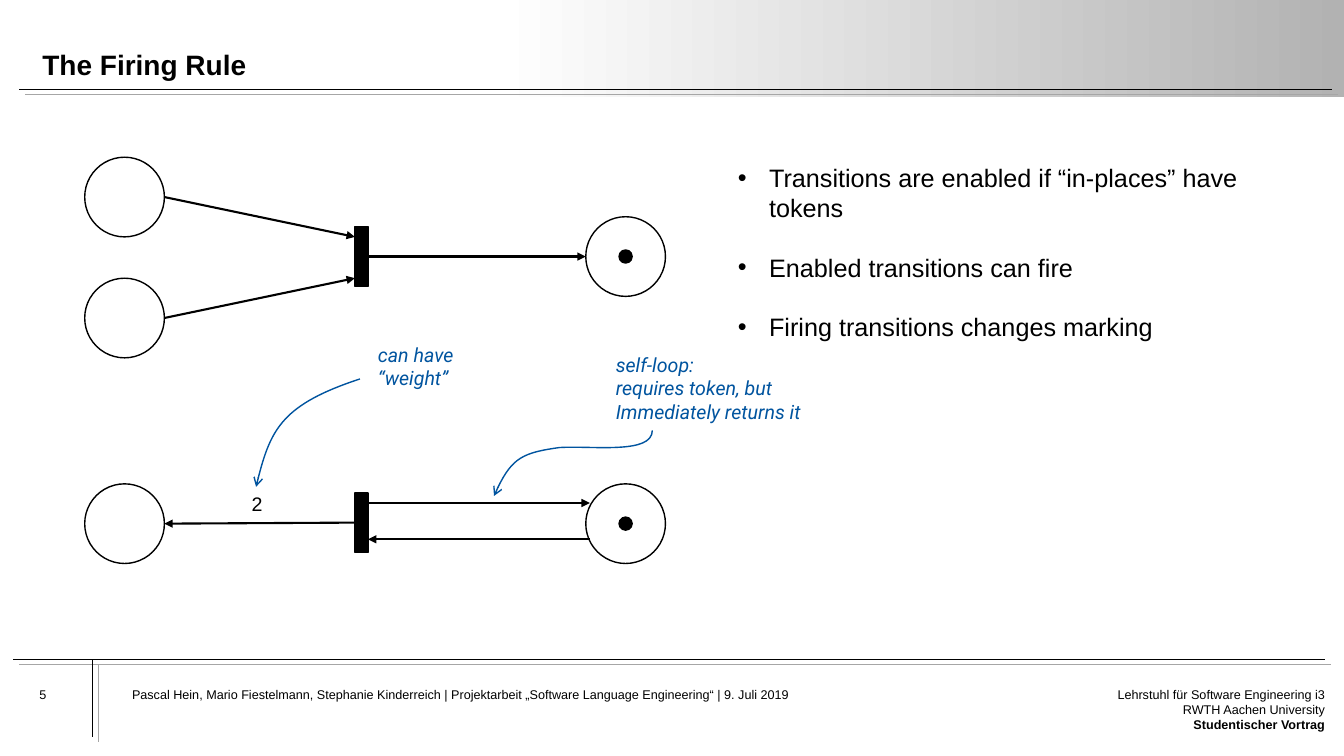
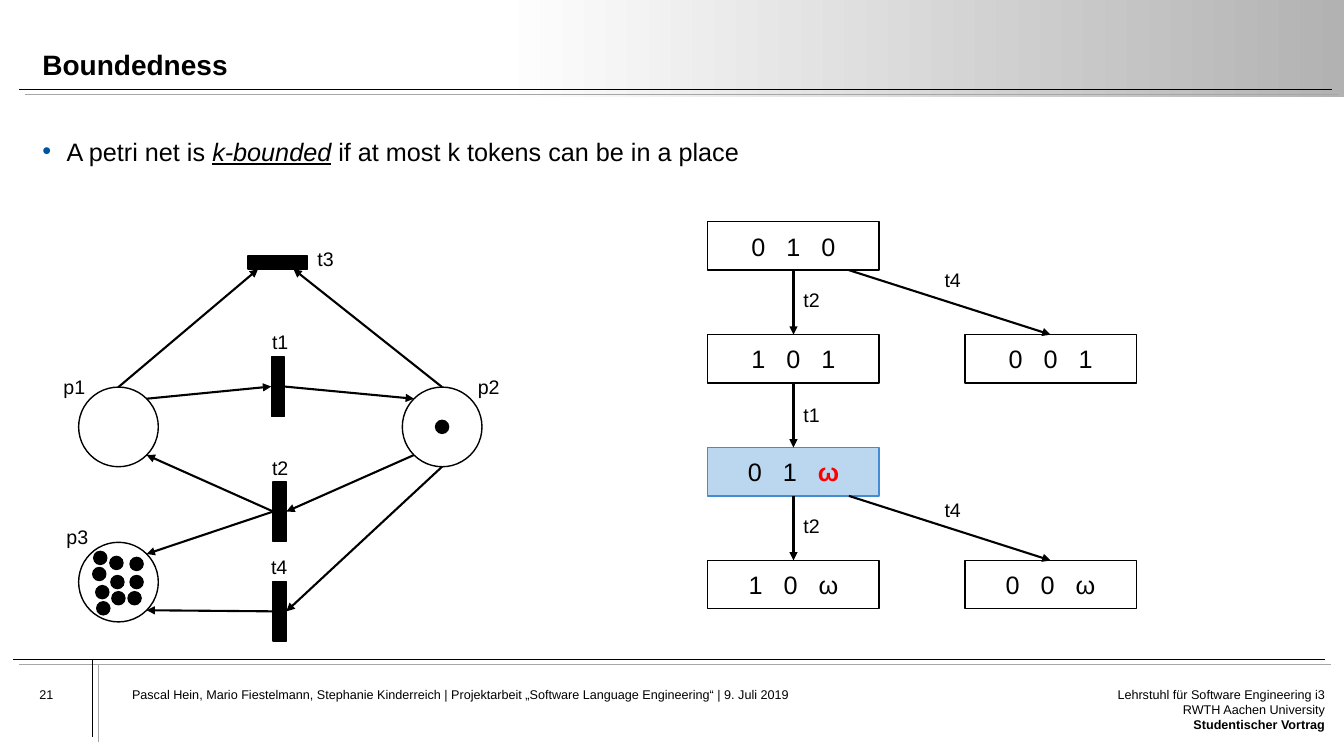
import math
import pptx
import pptx.util
import pptx.dml.color
import pptx.enum.shapes
import pptx.enum.text
import pptx.oxml.ns
from lxml import etree

Inches = pptx.util.Inches
Pt = pptx.util.Pt
qn = pptx.oxml.ns.qn
SHAPE = pptx.enum.shapes.MSO_SHAPE
ALIGN = pptx.enum.text.PP_ALIGN
ANCHOR = pptx.enum.text.MSO_ANCHOR

COLORS = {"black": "000000", "grey": "A6A6A6", "white": "FFFFFF", "band": "B2B2B2",
          "blue": "00549F", "red": "FF0000", "pale": "BBD6EF", "edge": "438CD4"}

AUTHORS = ("Pascal Hein, Mario Fiestelmann, Stephanie Kinderreich | "
           "Projektarbeit „Software Language Engineering“ | 9. Juli 2019")
CHAIR = [["Lehrstuhl für Software Engineering i3"], ["RWTH Aachen University"],
         [("Studentischer Vortrag", {"bold": True})]]
RULES = [(0.19, 0.89, 13.21, 0.89), (0.13, 6.54, 13.14, 6.54), (0.92, 6.54, 0.92, 7.31)]
RULE_SHIFT = (0.06, 0.05)

PLACE = 0.79
TOKEN = 0.13
BAR = (0.13, 0.59)
TOP, LEFT, BOTTOM, RIGHT = range(4)

FIRING = {
    "places": {"in1": (0.84, 1.56), "in2": (0.84, 2.76), "out": (5.81, 2.15),
               "weighted": (0.84, 4.8), "loop": (5.81, 4.8)},
    "bars": {"join": (3.52, 2.25, *BAR), "split": (3.52, 4.89, *BAR)},
    "tokens": [(6.14, 2.48), (6.14, 5.13)],
    "arcs": [(("in1", 0), (3.52, 2.35)), (("in2", 0), (3.52, 2.76)),
             (("join", RIGHT), ("out", 180)), (("split", LEFT), ("weighted", 0)),
             ((3.65, 4.99), (5.85, 4.99)), ((5.85, 5.35), (3.65, 5.35))],
    "labels": [],
}
FIRING_POINTS = ["Transitions are enabled if “in-places” have tokens",
                 "Enabled transitions can fire", "Firing transitions changes marking"]
NOTES = [
    ((3.65, 3.35, 1.17, 0.57), [["can have “weight”"]],
     [(3.57, 3.76), (2.81, 4.01), (2.67, 4.28), (2.54, 4.83)]),
    ((6.01, 3.45, 2.33, 0.81),
     [["self-loop:"], ["requires token, but"], ["Immediately returns it"]],
     [(6.47, 4.27), (6.47, 4.51), (5.88, 4.42), (5.55, 4.44),
      (5.19, 4.49), (5.06, 4.55), (4.9, 4.92)]),
]

BOUNDED = {
    "places": {"p1": (0.78, 3.84), "p2": (3.99, 3.84), "p3": (0.78, 5.38)},
    "bars": {"t1": (2.69, 3.54, *BAR), "t2": (2.71, 4.78, *BAR),
             "t3": (2.46, 2.54, *BAR[::-1]), "t4": (2.71, 5.77, *BAR)},
    "tokens": [(4.32, 4.17), (1.1, 5.71), (1.27, 5.87), (1.29, 5.71), (1.29, 5.53),
               (1.11, 5.87), (0.92, 5.63), (1.09, 5.52), (0.95, 5.81), (0.93, 5.47),
               (0.96, 5.97)],
    "arcs": [(("p1", -45), ("t1", LEFT)), (("t1", RIGHT), ("p2", -135)),
             (("p2", 135), ("t2", RIGHT)), (("t2", LEFT), ("p1", 45)),
             (("t2", LEFT), ("p3", -45)), (("p2", 90), ("t4", RIGHT)),
             (("t4", LEFT), ("p3", 45)), (("p1", -90), (2.56, 2.67)),
             (("p2", -90), (2.91, 2.67))],
    "labels": [("t1", 2.6, 3.22), ("t2", 2.6, 4.47), ("t3", 3.05, 2.4), ("t4", 2.59, 5.46),
               ("p1", 0.53, 3.67), ("p2", 4.64, 3.67), ("p3", 0.56, 5.16)],
}
BOUNDED_POINT = ["A petri net is ", ("k-bounded", {"italic": True, "underline": True}),
                 " if at most k tokens can be in a place"]

STATE_SIZE = (1.7, 0.48)
STATE_START = (7.02, 2.2)
STATE_STEP = (2.55, 1.12)
BRANCH_OFFSET = 1.4
STATES = {(0, 0): "010", (0, 1): "101", (0, 2): "01ω", (1, 1): "001",
          (0, 3): "10ω", (1, 3): "00ω"}
HOT_STATE = (0, 2)
STEPS = [((0, 0), (0, 1), "t2", 7.87, 2.81), ((0, 1), (0, 2), "t1", 7.87, 3.95),
         ((0, 2), (0, 3), "t2", 7.87, 5.05), ((0, 0), (1, 1), "t4", 9.27, 2.61),
         ((0, 2), (1, 3), "t4", 9.27, 4.89)]


def color(name):
    return pptx.dml.color.RGBColor.from_string(COLORS[name])


def set_all(target, values):
    for name, value in values.items():
        setattr(target, name, value)


def write(shape, paras, size, ink="black", font="Arial", frame=None, layout=None, **style):
    text = shape.text_frame
    set_all(text, {"word_wrap": True, **(frame or {})})
    for index, runs in enumerate(paras):
        para = text.paragraphs[0] if index == 0 else text.add_paragraph()
        set_all(para, layout or {})
        for run in runs:
            words, extra = (run, {}) if isinstance(run, str) else run
            values = {"size": Pt(size), "name": font, **style, **extra}
            span = para.add_run()
            span.text = words
            span.font.color.rgb = color(values.pop("ink", ink))
            spacing = values.pop("spacing", None)
            set_all(span.font, values)
            if spacing:
                span.font._element.set("spc", str(spacing * 100))
    return shape


def add_text(page, area, paras, size, inset=True, **options):
    box = page.shapes.add_textbox(*map(Inches, area))
    if not inset:
        options["frame"] = {**dict.fromkeys(
            ("margin_left", "margin_top", "margin_right", "margin_bottom"), 0),
            **options.get("frame", {})}
    return write(box, paras, size, **options)


def add_bullets(box, indent, ink):
    for para in box.text_frame.paragraphs:
        props = para._p.get_or_add_pPr()
        props.set("marL", str(Inches(indent)))
        props.set("indent", str(-Inches(indent)))
        tint = etree.SubElement(props, qn("a:buClr"))
        etree.SubElement(tint, qn("a:srgbClr"), val=COLORS[ink])
        etree.SubElement(props, qn("a:buFont"), typeface="Arial")
        etree.SubElement(props, qn("a:buChar"), char="•")


def add_head(shape, kind):
    etree.SubElement(shape.element.spPr.find(qn("a:ln")), qn("a:tailEnd"), type=kind)


def paint(shape, fill=None, line="black"):
    shape.shadow.inherit = False
    if fill:
        shape.fill.solid()
        shape.fill.fore_color.rgb = color(fill)
    else:
        shape.fill.background()
    shape.line.color.rgb = color(line)
    shape.line.width = Pt(1)
    return shape


def add_figure(page, kind, area, **look):
    return paint(page.shapes.add_shape(kind, *map(Inches, area)), **look)


def add_line(page, start, end, ink="black", width=0.5):
    line = page.shapes.add_connector(pptx.enum.shapes.MSO_CONNECTOR.STRAIGHT,
                                     *map(Inches, (*start, *end)))
    line.line.color.rgb = color(ink)
    line.line.width = Pt(width)
    etree.SubElement(line.element.spPr, qn("a:effectLst"))
    return line


def add_arrow(page, start, end, joins=(None, None)):
    arrow = add_line(page, start, end, width=1.5)
    add_head(arrow, "triangle")
    for connect, join in zip((arrow.begin_connect, arrow.end_connect), joins):
        if join:
            connect(*join)


def add_curve(page, points):
    start, *rest = [tuple(map(Inches, point)) for point in points]
    builder = page.shapes.build_freeform(*start)
    builder.add_line_segments(rest, close=False)
    curve = paint(builder.convert_to_shape(), line="blue")
    outline = next(curve.element.iter(qn("a:path")))
    segments = outline.findall(qn("a:lnTo"))
    for first in range(0, len(segments), 3):
        bend = etree.SubElement(outline, qn("a:cubicBezTo"))
        for segment in segments[first:first + 3]:
            bend.append(segment[0])
            outline.remove(segment)
    add_head(curve, "arrow")


def add_label(page, words, left, top):
    width = 0.42 if words.startswith("p") else 0.36
    add_text(page, (left, top, width, 0.34), [[words]], 14, frame={"word_wrap": False})


def add_net(page, net):
    for corner in net["places"].values():
        add_figure(page, SHAPE.OVAL, (*corner, PLACE, PLACE))
    bars = {name: add_figure(page, SHAPE.RECTANGLE, area, fill="black")
            for name, area in net["bars"].items()}

    def locate(end):
        name, where = end
        if name in bars:
            return (0, 0), (bars[name], where)
        if name in net["places"]:
            angle, radius = math.radians(where), PLACE / 2
            left, top = net["places"][name]
            return (left + radius * (1 + math.cos(angle)),
                    top + radius * (1 + math.sin(angle))), None
        return end, None

    for arc in net["arcs"]:
        points, joins = zip(*map(locate, arc))
        add_arrow(page, *points, joins)
    for corner in net["tokens"]:
        add_figure(page, SHAPE.OVAL, (*corner, TOKEN, TOKEN), fill="black")
    for label in net["labels"]:
        add_label(page, *label)


def add_states(page):
    boxes, corners = {}, {}
    for cell, marking in STATES.items():
        hot = cell == HOT_STATE
        corners[cell] = [start + step * index
                         for start, step, index in zip(STATE_START, STATE_STEP, cell)]
        look = {"fill": "pale", "line": "edge"} if hot else {}
        boxes[cell] = add_figure(page, SHAPE.RECTANGLE, (*corners[cell], *STATE_SIZE), **look)
        gap = (" ", {"spacing": 10})
        last = (marking[2], {"ink": "red", "bold": True}) if hot else marking[2]
        write(boxes[cell], [[marking[0], gap, marking[1], gap, last]], 18,
              frame={"vertical_anchor": ANCHOR.MIDDLE}, layout={"alignment": ALIGN.CENTER})
    for source, target, words, left, top in STEPS:
        straight = source[0] == target[0]
        start = (corners[source][0] + BRANCH_OFFSET, corners[source][1] + STATE_SIZE[1])
        add_arrow(page, start, corners[target],
                  ((boxes[source], BOTTOM) if straight else None, (boxes[target], TOP)))
        add_label(page, words, left, top)


def add_page(deck, title, number):
    page = deck.slides.add_slide(deck.slide_layouts[6])
    band = add_figure(page, SHAPE.RECTANGLE, (4.93, 0, 8.4, 0.96))
    band.line.fill.background()
    band.fill.gradient()
    band.fill.gradient_angle = 0
    for stop, name in zip(band.fill.gradient_stops, ("white", "band")):
        stop.color.rgb = color(name)
    for x1, y1, x2, y2 in RULES:
        dx, dy = RULE_SHIFT
        add_line(page, (x1, y1), (x2, y2))
        add_line(page, (x1 + dx, y1 + dy), (x2 + dx, y2 + dy), "grey")
    add_text(page, (0.39, 6.81, 0.8, 0.43), [[str(number)]], 9, inset=False)
    add_text(page, (1.31, 6.81, 7.66, 0.69), [[AUTHORS]], 9, inset=False)
    add_text(page, (10.99, 6.81, 2.15, 0.69), CHAIR, 9, inset=False,
             layout={"alignment": ALIGN.RIGHT})
    add_text(page, (0.42, 0.22, 12.56, 0.59), [[title]], 20, inset=False, bold=True,
             frame={"vertical_anchor": ANCHOR.BOTTOM}, layout={"line_spacing": 0.9})
    return page


def build_firing(deck):
    page = add_page(deck, "The Firing Rule", 5)
    add_net(page, FIRING)
    add_text(page, (2.12, 4.83, 0.86, 0.34), [["2"]], 14, layout={"alignment": ALIGN.CENTER})
    points = add_text(page, (7.22, 1.56, 5.37, 2.22), [[point] for point in FIRING_POINTS],
                      18, layout={"space_after": Pt(21)})
    add_bullets(points, 0.31, "black")
    for area, paras, curve in NOTES:
        add_text(page, area, paras, 14, ink="blue", font="Roboto", italic=True)
        add_curve(page, curve)


def build_bounded(deck):
    page = add_page(deck, "Boundedness", 21)
    point = add_text(page, (0.42, 1.35, 12.56, 0.4), [BOUNDED_POINT], 18, inset=False)
    add_bullets(point, 0.24, "blue")
    add_net(page, BOUNDED)
    add_states(page)


def main():
    deck = pptx.Presentation()
    set_all(deck, {"slide_width": Inches(13.33), "slide_height": Inches(7.5)})
    build_firing(deck)
    build_bounded(deck)
    deck.save("out.pptx")


if __name__ == "__main__":
    main()
